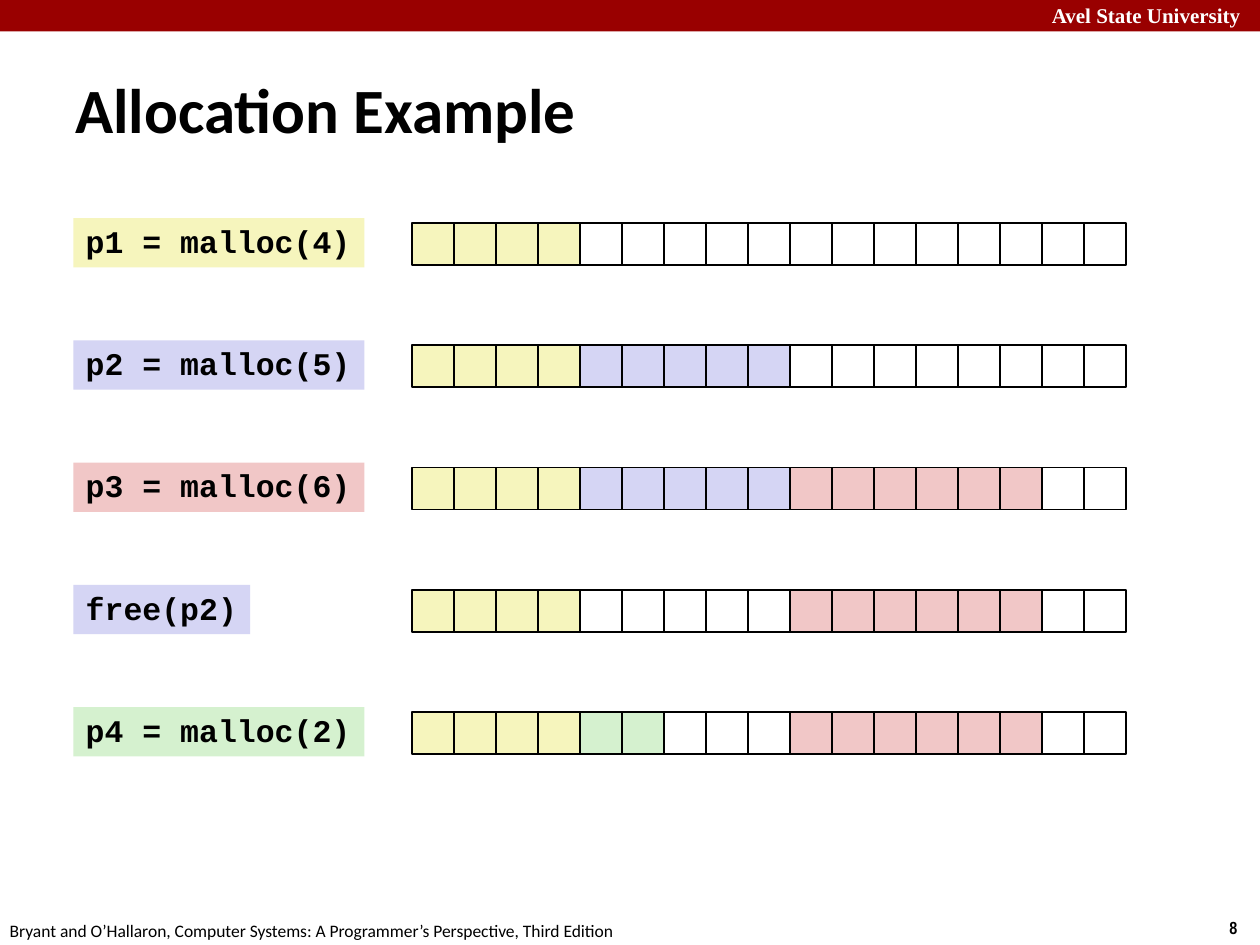
from dataclasses import dataclass

from pptx import Presentation
from pptx.dml.color import RGBColor
from pptx.enum.shapes import MSO_SHAPE
from pptx.enum.text import MSO_ANCHOR, PP_ALIGN
from pptx.shapes.autoshape import Shape
from pptx.slide import Slide
from pptx.util import Pt


@dataclass(frozen=True)
class Theme:
    black: str = "000000"
    white: str = "FFFFFF"
    banner: str = "990000"
    yellow: str = "F6F5BD"
    blue: str = "D5D5F4"
    red: str = "F1C7C7"
    green: str = "D5F1CF"
    title_size: float = 36
    code_size: float = 18
    banner_size: float = 12
    footer_size: float = 10


@dataclass(frozen=True)
class Frame:
    left: float
    top: float
    width: float
    height: float


@dataclass(frozen=True)
class TextStyle:
    font: str
    size: float
    color: str
    bold: bool = True
    line_spacing: float = 1.0


@dataclass(frozen=True)
class Caption:
    text: str
    frame: Frame
    style: TextStyle


@dataclass(frozen=True)
class Block:
    color: str
    cells: int


@dataclass(frozen=True)
class Step:
    code: str
    color: str
    label_width: float
    heap: tuple[Block, ...]


THEME = Theme()
CODE_STYLE = TextStyle("Courier New", THEME.code_size, THEME.black, line_spacing=0.94)
CELL = 24
HEAP_LEFT, HEAP_TOP = 235.6, 127.4
LABEL_LEFT, LABEL_TOP, LABEL_HEIGHT = 41.9, 124.7, 28.1
STEP_GAP = 69.85
CALL_WIDTH, FREE_WIDTH = 166.3, 101

P1 = Block(THEME.yellow, 4)
P2 = Block(THEME.blue, 5)
P3 = Block(THEME.red, 6)
P4 = Block(THEME.green, 2)


def free(cells: int) -> Block:
    """Return an unallocated run of cells."""
    return Block(THEME.white, cells)


STEPS = (
    Step("p1 = malloc(4)", THEME.yellow, CALL_WIDTH, (P1, free(13))),
    Step("p2 = malloc(5)", THEME.blue, CALL_WIDTH, (P1, P2, free(8))),
    Step("p3 = malloc(6)", THEME.red, CALL_WIDTH, (P1, P2, P3, free(2))),
    Step("free(p2)", THEME.blue, FREE_WIDTH, (P1, free(5), P3, free(2))),
    Step("p4 = malloc(2)", THEME.green, CALL_WIDTH, (P1, P4, free(3), P3, free(2))),
)

CAPTIONS = (
    Caption("Avel State University", Frame(594, -2, 131, 21.6),
            TextStyle("Times New Roman", THEME.banner_size, THEME.white)),
    Caption("8", Frame(695.5, 520.6, 24.5, 19.4),
            TextStyle("Arial Narrow", THEME.footer_size, THEME.black)),
    Caption("Bryant and O’Hallaron, Computer Systems: A Programmer’s Perspective, Third Edition",
            Frame(-1.5, 522, 366, 19.4),
            TextStyle("Calibri", THEME.footer_size, THEME.black, bold=False)),
    Caption("Allocation Example", Frame(36, 39, 509, 45.4),
            TextStyle("Calibri", THEME.title_size, THEME.black)),
)


def place(frame: Frame) -> tuple[Pt, Pt, Pt, Pt]:
    """Convert a frame to lengths."""
    return Pt(frame.left), Pt(frame.top), Pt(frame.width), Pt(frame.height)


def write(box: Shape, text: str, style: TextStyle) -> None:
    """Put one styled line of text in a box."""
    box.text_frame.word_wrap = True
    box.text_frame.vertical_anchor = MSO_ANCHOR.MIDDLE
    para = box.text_frame.paragraphs[0]
    para.text = text
    para.alignment = PP_ALIGN.LEFT
    para.line_spacing = style.line_spacing
    para.font.name = style.font
    para.font.size = Pt(style.size)
    para.font.bold = style.bold
    para.font.color.rgb = RGBColor.from_string(style.color)


def add_box(shapes, frame: Frame, fill: str, outline: str | None = None) -> Shape:
    """Draw a filled rectangle, outlined if a colour is given."""
    box = shapes.add_shape(MSO_SHAPE.RECTANGLE, *place(frame))
    box.shadow.inherit = False
    box.fill.solid()
    box.fill.fore_color.rgb = RGBColor.from_string(fill)
    if outline:
        box.line.color.rgb = RGBColor.from_string(outline)
        box.line.width = Pt(1)
    else:
        box.line.fill.background()
    return box


def add_step(page: Slide, step: Step, offset: float) -> None:
    """Draw one statement and the heap after it."""
    heap = page.shapes.add_group_shape()
    colors = [block.color for block in step.heap for _ in range(block.cells)]
    for index, color in enumerate(colors):
        frame = Frame(HEAP_LEFT + index * CELL, HEAP_TOP + offset, CELL, CELL)
        add_box(heap.shapes, frame, color, THEME.black)
    label_frame = Frame(LABEL_LEFT, LABEL_TOP + offset, step.label_width, LABEL_HEIGHT)
    label = add_box(page.shapes, label_frame, step.color)
    write(label, step.code, CODE_STYLE)


def main() -> None:
    """Build the slide and save it."""
    deck = Presentation()
    deck.slide_width, deck.slide_height = Pt(720), Pt(540)
    page = deck.slides.add_slide(deck.slide_layouts[6])
    add_box(page.shapes, Frame(0, 0, 720, 18), THEME.banner)
    for caption in CAPTIONS:
        box = page.shapes.add_textbox(*place(caption.frame))
        write(box, caption.text, caption.style)
    for index, step in enumerate(STEPS):
        add_step(page, step, index * STEP_GAP)
    deck.save("out.pptx")


if __name__ == "__main__":
    main()
